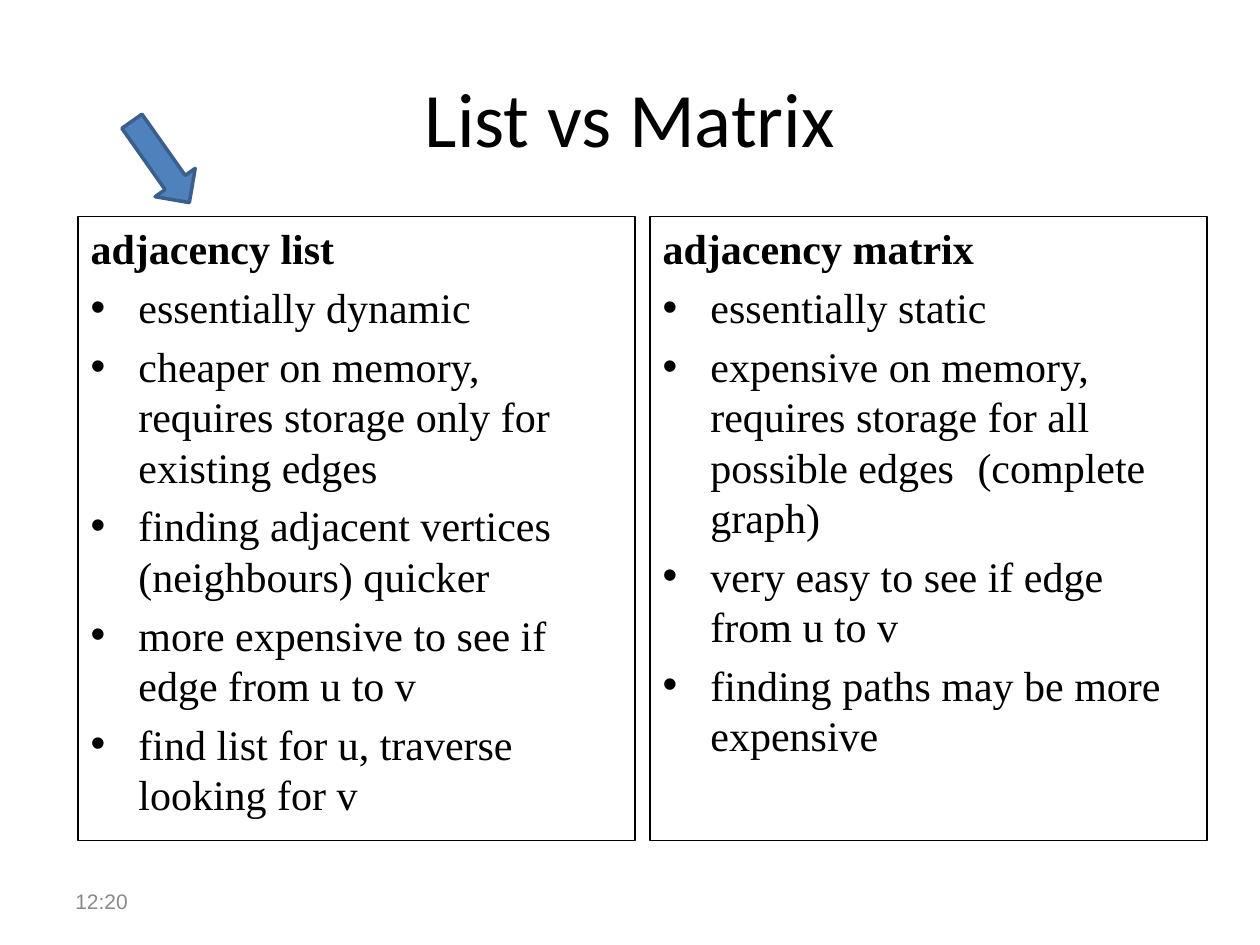
from lxml.etree import SubElement
from pptx import Presentation
from pptx.dml.color import RGBColor
from pptx.enum.shapes import MSO_SHAPE as Shape
from pptx.enum.text import MSO_ANCHOR as Anchor, PP_ALIGN as Align
from pptx.oxml.ns import qn
from pptx.util import Inches, Pt

BLACK = RGBColor(0x00, 0x00, 0x00)
GRAY = RGBColor(0x89, 0x89, 0x89)
BLUE = RGBColor(0x4F, 0x81, 0xBD)
DARK_BLUE = RGBColor(0x3A, 0x5F, 0x8C)

PANELS = [
    ("adjacency list", [
        "essentially dynamic",
        "cheaper on memory, requires storage only for existing edges",
        "finding adjacent vertices (neighbours) quicker",
        "more expensive to see if edge from u to v",
        "find list for u, traverse looking for v",
    ]),
    ("adjacency matrix", [
        "essentially static",
        "expensive on memory, requires storage for all possible edges \t(complete graph)",
        "very easy to see if edge from u to v",
        "finding paths may be more expensive",
    ]),
]


class SlideBuilder:
    """Holds the style and the current slide, and adds each kind of element."""

    title_font = "Calibri"
    body_font = "Times New Roman"
    footer_font = "Arial"
    hanging = Inches(0.38)

    def __init__(self, slide):
        self.slide = slide

    def format_runs(self, paragraph, font_name, size, color, bold=False):
        for run in paragraph.runs:
            run.font.name = font_name
            run.font.size = Pt(size)
            run.font.color.rgb = color
            run.font.bold = bold

    def title(self, text, left, top, width, height):
        title = self.slide.shapes.title
        title.left, title.top = Inches(left), Inches(top)
        title.width, title.height = Inches(width), Inches(height)
        title.text_frame.text = text
        title.text_frame.vertical_anchor = Anchor.MIDDLE
        heading = title.text_frame.paragraphs[0]
        heading.alignment = Align.CENTER
        self.format_runs(heading, self.title_font, 44, BLACK)

    def text_box(self, left, top, width, height, anchor=Anchor.TOP):
        box = self.slide.shapes.add_textbox(
            Inches(left), Inches(top), Inches(width), Inches(height))
        box.text_frame.word_wrap = True
        box.text_frame.vertical_anchor = anchor
        return box

    def panel(self, heading, points, left, top, width, height):
        panel = self.text_box(left, top, width, height)
        panel.line.color.rgb = BLACK
        panel.line.width = Pt(0.75)
        panel.text_frame.text = "\n".join([heading, *points])
        for index, paragraph in enumerate(panel.text_frame.paragraphs):
            is_heading = index == 0
            paragraph.alignment = Align.JUSTIFY if is_heading else Align.LEFT
            paragraph.space_before = Pt(5)
            paragraph.line_spacing = Pt(28.7)
            self.format_runs(paragraph, self.body_font, 24, BLACK, is_heading)
            self.indent(paragraph, bullet=not is_heading)

    def indent(self, paragraph, bullet):
        properties = paragraph._p.get_or_add_pPr()
        properties.set("marL", str(self.hanging))
        properties.set("indent", str(-self.hanging))
        if bullet:
            SubElement(properties, qn("a:buFont")).set("typeface", "Arial")
            SubElement(properties, qn("a:buChar")).set("char", "•")

    def footer(self, text, left, top, width, height):
        footer = self.text_box(left, top, width, height, Anchor.MIDDLE)
        footer.text_frame.text = text
        self.format_runs(footer.text_frame.paragraphs[0], self.footer_font, 12, GRAY)

    def arrow(self, left, top, width, height, rotation):
        arrow = self.slide.shapes.add_shape(
            Shape.RIGHT_ARROW, Inches(left), Inches(top), Inches(width), Inches(height))
        arrow.rotation = rotation
        arrow.shadow.inherit = False
        arrow.fill.solid()
        arrow.fill.fore_color.rgb = BLUE
        arrow.line.color.rgb = DARK_BLUE
        arrow.line.width = Pt(2)


def main():
    presentation = Presentation()
    presentation.slide_width, presentation.slide_height = Inches(10), Inches(7.5)
    builder = SlideBuilder(presentation.slides.add_slide(presentation.slide_layouts[5]))
    builder.title("List vs Matrix", 0.5, 0.3, 9, 1.25)
    panel_width, gap = 4.42, 0.12
    for column, (heading, points) in enumerate(PANELS):
        left = 0.62 + column * (panel_width + gap)
        builder.panel(heading, points, left, 1.72, panel_width, 4.95)
    builder.footer("12:20", 0.5, 6.95, 2.33, 0.4)
    builder.arrow(0.88, 1.09, 0.79, 0.39, rotation=54.8)
    presentation.save("out.pptx")


if __name__ == "__main__":
    main()
